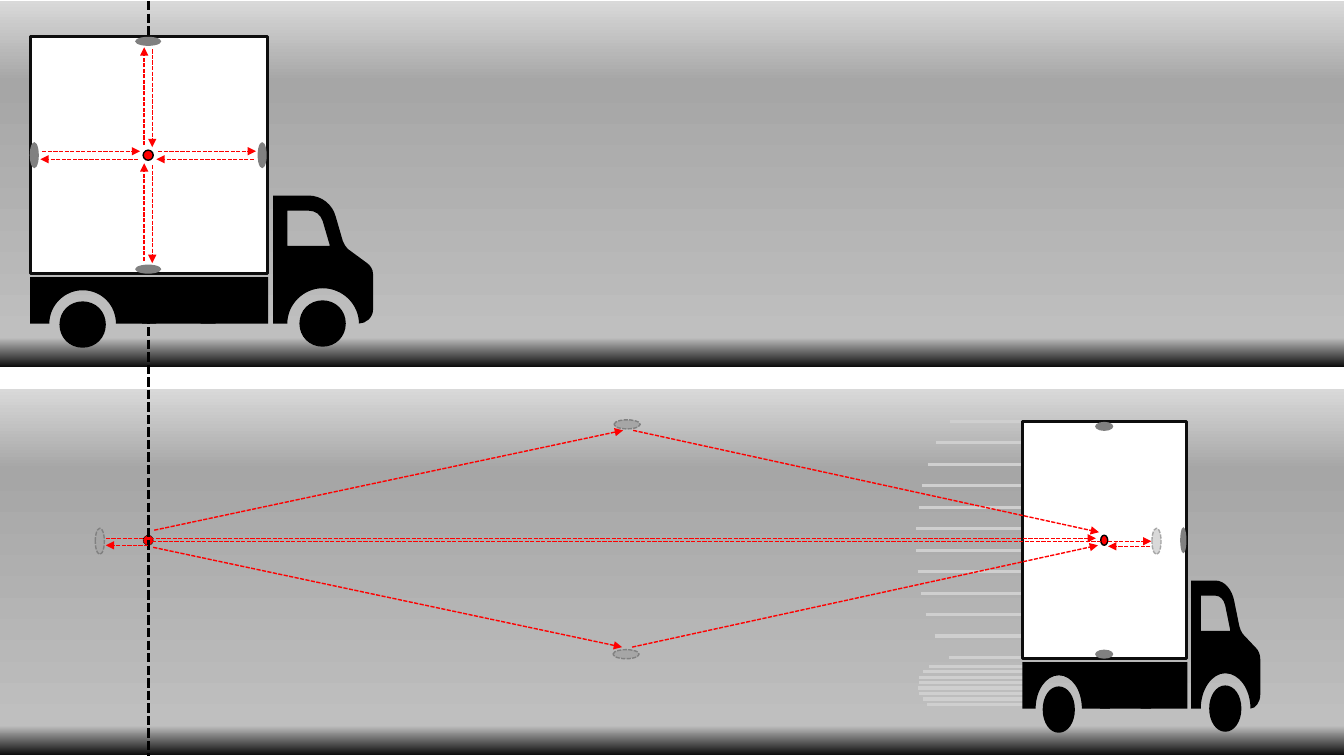
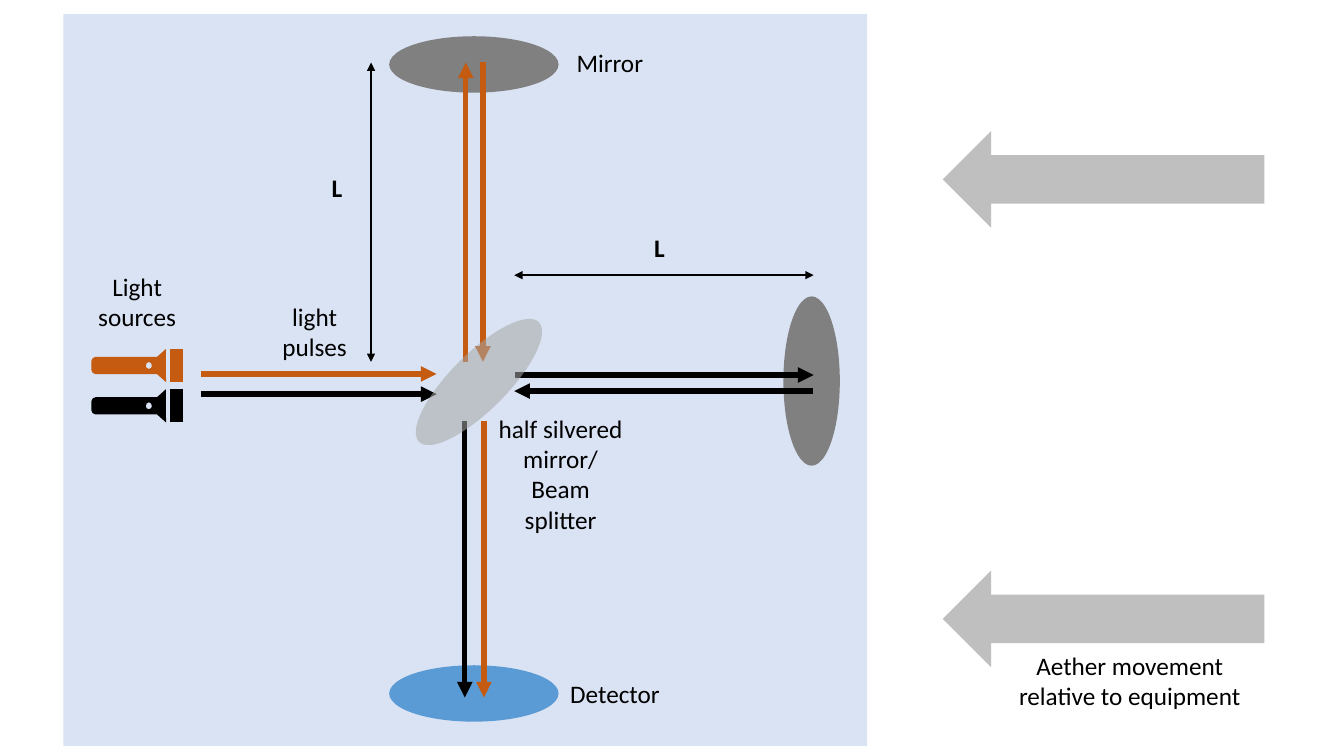
"""Build two slides on the light-path experiment: moving truck and beam splitter."""
from math import sqrt

from lxml import etree
from pptx import Presentation
from pptx.dml.color import RGBColor
from pptx.enum.dml import MSO_LINE
from pptx.enum.shapes import MSO_CONNECTOR, MSO_SHAPE
from pptx.enum.text import MSO_AUTO_SIZE, PP_ALIGN
from pptx.oxml.ns import qn
from pptx.util import Inches, Pt

BLACK = RGBColor(0x00, 0x00, 0x00)
WHITE = RGBColor(0xFF, 0xFF, 0xFF)
RED = RGBColor(0xFF, 0x00, 0x00)
ORANGE = RGBColor(0xC5, 0x5A, 0x11)
BLUE = RGBColor(0x5B, 0x9B, 0xD5)
PALE_BLUE = RGBColor(0xDA, 0xE3, 0xF3)
FRAME = RGBColor(0x0D, 0x0D, 0x0D)
MIRROR = RGBColor(0x80, 0x80, 0x80)
GHOST = RGBColor(0xA6, 0xA6, 0xA6)
PALE_GHOST = RGBColor(0xD9, 0xD9, 0xD9)
STREAK = RGBColor(0xCF, 0xCF, 0xCF)
AETHER = RGBColor(0xBF, 0xBF, 0xBF)
FONT = "Calibri"

ROAD_STOPS = [(0, PALE_GHOST), (22, GHOST), (92, AETHER), (100, FRAME)]
ROAD_TOPS = [0.01, 3.86]
TRUCK_LEFT, TRUCK_CENTRE = 0.3, (1.47, 1.54)
SECOND_TRUCK = dict(left=10.14, drop=3.82, squeeze=0.694)
UP, DOWN, LEFT, RIGHT = (0, -1), (0, 1), (-1, 0), (1, 0)
BOX = [(0.3, 0.36), (2.65, 0.36), (2.65, 2.71), (0.3, 2.71)]
BED_REAR = [(2.14, 3.21), (1.15, 3.21), (1.15, 3.03, 1.01, 2.88, 0.82, 2.88),
            (0.64, 2.88, 0.49, 3.03, 0.49, 3.21), (0.3, 3.21), (0.3, 2.75), (2.14, 2.75)]
BED_FRONT = [(2.66, 3.21), (1.99, 3.21), (1.99, 3.03, 1.89, 2.88, 1.77, 2.88),
             (1.65, 2.88, 1.55, 3.03, 1.55, 3.21), (1.41, 3.21), (1.41, 2.75), (2.66, 2.75)]
CAB_WINDOW = [(2.85, 2.09), (3.06, 2.09), (3.13, 2.09, 3.18, 2.13, 3.2, 2.19), (3.27, 2.43),
              (3.27, 2.43, 3.27, 2.43, 3.27, 2.44), (2.85, 2.44), (2.85, 2.09)]
CAB = [(3.06, 1.94), (2.71, 1.94), (2.71, 2.44), (2.71, 2.65), (2.71, 3.21), (2.85, 3.21),
       (2.85, 3.02, 3.01, 2.86, 3.2, 2.86), (3.4, 2.86, 3.56, 3.02, 3.56, 3.21),
       (3.63, 3.21, 3.7, 3.15, 3.7, 3.07), (3.7, 2.72),
       (3.7, 2.67, 3.67, 2.63, 3.64, 2.61), (3.45, 2.47),
       (3.43, 2.45, 3.41, 2.42, 3.4, 2.39), (3.33, 2.15),
       (3.3, 2.03, 3.19, 1.94, 3.06, 1.94)]
WHEEL_CENTRES = [(0.82, 3.22), (3.2, 3.21)]
WHEEL_RADIUS, WHEEL_PULL = 0.23, 0.13

STREAK_SETS = [
    (4.18, 0.213, 1.14, [9.42, 9.28, 9.2, 9.14, 9.11, 9.09, 9.09, 9.1, 9.13, 9.18, 9.27, 9.41]),
    (6.61, 0.054, 1.06, [9.21, 9.15, 9.12, 9.11, 9.1, 9.11, 9.15, 9.19]),
]
LIGHT_PATHS = [
    ((6.28, 4.27), (10.9, 5.28)), ((1.53, 5.26), (6.18, 4.27)),
    ((11.41, 5.42), (10.99, 5.42)), ((1.51, 5.37), (11.42, 5.37)),
    ((1.05, 5.34), (10.87, 5.34)), ((1.47, 5.41), (1.05, 5.41)),
    ((6.27, 6.42), (10.89, 5.41)), ((1.52, 5.43), (6.17, 6.42)),
]
GHOST_MIRRORS = [
    ((0.99, 5.37), (0.09, 0.26), GHOST, MIRROR), ((6.21, 6.49), (0.26, 0.09), GHOST, MIRROR),
    ((6.22, 4.21), (0.26, 0.09), GHOST, MIRROR), ((11.47, 5.37), (0.09, 0.26), PALE_GHOST, GHOST),
]

PLATES = [((4.7, 6.88), (1.68, 0.56), BLUE), ((4.7, 0.64), (1.68, 0.56), MIRROR),
          ((8.05, 3.78), (0.56, 1.68), MIRROR)]
BEAMS = [
    ((4.79, 0.62), (4.79, 3.59), ORANGE), ((4.62, 3.59), (4.62, 0.62), ORANGE),
    ((8.06, 3.88), (5.1, 3.88), BLACK), ((5.11, 3.72), (8.07, 3.72), BLACK),
    ((4.61, 4.18), (4.61, 6.92), BLACK), ((4.8, 4.18), (4.8, 6.92), ORANGE),
    ((1.99, 3.71), (4.33, 3.71), ORANGE), ((1.99, 3.91), (4.33, 3.91), BLACK),
]
AETHER_TOPS = [5.66, 1.3]
TORCH_LENS = [(1.69, 3.46), (1.81, 3.46), (1.81, 3.79), (1.69, 3.79)]
TORCH_BODY = [(1.56, 3.54), (0.95, 3.54), (0.93, 3.54, 0.91, 3.56, 0.91, 3.58), (0.91, 3.67),
              (0.91, 3.69, 0.93, 3.71, 0.95, 3.71), (1.56, 3.71), (1.65, 3.79), (1.65, 3.46)]
TORCH_SWITCH = [(1.48, 3.66), (1.46, 3.66, 1.45, 3.64, 1.45, 3.63),
                (1.45, 3.61, 1.46, 3.59, 1.48, 3.59), (1.5, 3.59, 1.51, 3.61, 1.51, 3.63),
                (1.51, 3.64, 1.5, 3.66, 1.48, 3.66)]
TORCH_PIVOT = (1.33, 3.63)
TORCHES = [(0, ORANGE), (0.4, BLACK)]
LABELS = [
    ("Aether movement relative to equipment", (9.89, 6.4, 2.63, 0.71), {}),
    ("Mirror", (5.62, 0.42, 0.96, 0.4), dict(align=PP_ALIGN.LEFT)),
    ("half silvered mirror/ Beam splitter", (4.79, 4.05, 1.54, 1.31), {}),
    ("Light sources", (0.8, 2.64, 1.12, 0.71), {}),
    ("Detector", (5.38, 6.68, 1.44, 0.4), {}),
    ("light pulses", (2.56, 2.94, 1.12, 0.71), {}),
    ("L", (3.19, 1.66, 0.54, 0.4), dict(align=PP_ALIGN.LEFT, bold=True)),
    ("L", (6.39, 2.26, 0.54, 0.4), dict(align=PP_ALIGN.LEFT, bold=True)),
]
ARM_LENGTHS = [((3.68, 0.62), (3.68, 3.59)), ((8.07, 2.73), (5.1, 2.73))]


def write(slide, text, box, size=18, bold=False, colour=BLACK, align=PP_ALIGN.CENTER):
    frame = slide.shapes.add_textbox(*map(Inches, box)).text_frame
    frame.word_wrap = True
    frame.auto_size = MSO_AUTO_SIZE.SHAPE_TO_FIT_TEXT
    paragraph = frame.paragraphs[0]
    paragraph.alignment = align
    run = paragraph.add_run()
    run.text = text
    run.font.name, run.font.size, run.font.bold = FONT, Pt(size), bold
    run.font.color.rgb = colour


def paint(shape, fill, line=None, width=1, dash=None):
    shape.shadow.inherit = False
    shape.fill.solid()
    shape.fill.fore_color.rgb = fill
    if line is None:
        shape.line.fill.background()
    else:
        shape.line.color.rgb = line
        shape.line.width = Pt(width)
        if dash:
            shape.line.dash_style = dash
    return shape


def add_preset(slide, preset, box, fill, **outline):
    return paint(slide.shapes.add_shape(preset, *map(Inches, box)), fill, **outline)


def add_ellipse(slide, centre, size, fill, **outline):
    (x, y), (width, height) = centre, size
    box = (x - width / 2, y - height / 2, width, height)
    return add_preset(slide, MSO_SHAPE.OVAL, box, fill, **outline)


def add_outline(slide, contours, fill, place, **outline):
    builder = None
    for contour in contours:
        points = [tuple(map(Inches, place(*part[i:i + 2])))
                  for part in contour for i in range(0, len(part), 2)]
        if builder is None:
            builder = slide.shapes.build_freeform(*points[0], scale=1.0)
        else:
            builder.move_to(*points[0])
        builder.add_line_segments(points[1:], close=True)
    shape = builder.convert_to_shape()
    segments = iter(list(shape._element.spPr.iter(qn("a:lnTo"))))
    for contour in contours:
        for part in contour[1:]:
            segment = next(segments)
            if len(part) == 6:
                segment.tag = qn("a:cubicBezTo")
                for _ in range(2):
                    control = next(segments)
                    segment.append(control[0])
                    control.getparent().remove(control)
    return paint(shape, fill, **outline)


def add_line(slide, start, end, colour, width, dash=None, heads=()):
    connector = slide.shapes.add_connector(MSO_CONNECTOR.STRAIGHT, *map(Inches, start + end))
    connector.line.color.rgb = colour
    connector.line.width = Pt(width)
    if dash:
        connector.line.dash_style = dash
    properties = connector._element.spPr
    for head in heads:
        etree.SubElement(properties.find(qn("a:ln")), qn(f"a:{head}"), type="triangle")
    etree.SubElement(properties, qn("a:effectLst"))


def add_light_path(slide, start, end):
    add_line(slide, start, end, RED, 1, dash=MSO_LINE.SQUARE_DOT, heads=["tailEnd"])


def add_road(slide, top):
    road = add_preset(slide, MSO_SHAPE.RECTANGLE, (0, top, 13.33, 3.63), AETHER)
    road.fill.gradient()
    road.fill.gradient_angle = 270
    stops = road._element.spPr.find(qn("a:gradFill")).find(qn("a:gsLst"))
    for stop in list(stops):
        stops.remove(stop)
    for position, colour in ROAD_STOPS:
        stop = etree.SubElement(stops, qn("a:gs"), pos=str(position * 1000))
        etree.SubElement(stop, qn("a:srgbClr"), val=str(colour))


def wheel_outline(x, y, r=WHEEL_RADIUS, k=WHEEL_PULL):
    return [(x + r, y), (x + r, y + k, x + k, y + r, x, y + r),
            (x - k, y + r, x - r, y + k, x - r, y), (x - r, y - k, x - k, y - r, x, y - r),
            (x + k, y - r, x + r, y - k, x + r, y)]


def add_truck(slide, sides, left=TRUCK_LEFT, drop=0, squeeze=1):
    def place(x, y):
        return left + (x - TRUCK_LEFT) * squeeze, y + drop

    for centre in WHEEL_CENTRES:
        add_outline(slide, [wheel_outline(*centre)], BLACK, place)
    add_outline(slide, [BOX], WHITE, place, line=FRAME, width=2.25)
    for contours in ([CAB_WINDOW, CAB], [BED_REAR], [BED_FRONT]):
        add_outline(slide, contours, BLACK, place)
    x, y = TRUCK_CENTRE
    for dx, dy in sides:
        size = (0.09 * squeeze, 0.26) if dx else (0.26 * squeeze, 0.09)
        add_ellipse(slide, place(x + 1.13 * dx, y + 1.13 * dy), size, MIRROR)
    add_ellipse(slide, place(x, y), (0.1 * squeeze, 0.1), RED, line=BLACK)


def add_torch(slide, drop, colour):
    pivot_x, pivot_y = TORCH_PIVOT

    def lower(x, y):
        return x, y + drop

    def turn_back(x, y):
        dx, dy = x - pivot_x, y - pivot_y
        return lower(pivot_x + (dx + dy) / sqrt(2), pivot_y + (dy - dx) / sqrt(2))

    add_outline(slide, [TORCH_LENS], colour, lower)
    add_outline(slide, [TORCH_BODY, TORCH_SWITCH], colour, turn_back).rotation = 45


def build_truck_slide(slide):
    for top in ROAD_TOPS:
        add_road(slide, top)
    add_ellipse(slide, (1.47, 5.36), (0.1, 0.1), RED,
                line=BLACK, width=0.5, dash=MSO_LINE.ROUND_DOT)
    add_line(slide, (1.47, 0.01), (1.47, 7.5), BLACK, 2.25, dash=MSO_LINE.SQUARE_DOT)

    add_truck(slide, [LEFT, RIGHT, DOWN, UP])
    x, y = TRUCK_CENTRE
    for dx, dy in (UP, RIGHT, DOWN, LEFT):
        for near, far, shift in ((0.1, 1.07, 0.04), (1.05, 0.08, -0.04)):
            start, end = ((x + dx * reach + dy * shift, y + dy * reach - dx * shift)
                          for reach in (near, far))
            add_light_path(slide, start, end)

    for top, gap, length, starts in STREAK_SETS:
        for row, start in enumerate(starts):
            level = top + row * gap
            add_line(slide, (start, level), (start + length, level), STREAK, 2.25)
    add_truck(slide, [RIGHT, DOWN, UP], **SECOND_TRUCK)
    for start, end in LIGHT_PATHS:
        add_light_path(slide, start, end)
    for centre, size, fill, line in GHOST_MIRRORS:
        add_ellipse(slide, centre, size, fill, line=line, dash=MSO_LINE.SQUARE_DOT)


def build_splitter_slide(slide):
    add_preset(slide, MSO_SHAPE.RECTANGLE, (0.63, 0.14, 7.97, 7.26), PALE_BLUE)
    for centre, size, fill in PLATES:
        add_ellipse(slide, centre, size, fill)
    for start, end, colour in BEAMS:
        add_line(slide, start, end, colour, 3.75, heads=["tailEnd"])
    for top in AETHER_TOPS:
        add_preset(slide, MSO_SHAPE.LEFT_ARROW, (9.35, top, 3.19, 0.96), AETHER)

    splitter = add_ellipse(slide, (4.75, 3.79), (0.56, 1.68), GHOST)
    splitter.rotation = 45
    tint = splitter._element.spPr.find(qn("a:solidFill"))[0]
    etree.SubElement(tint, qn("a:alpha"), val="55000")

    for drop, colour in TORCHES:
        add_torch(slide, drop, colour)
    for start, end in ARM_LENGTHS:
        add_line(slide, start, end, BLACK, 1.75, heads=["headEnd", "tailEnd"])
    for text, box, style in LABELS:
        write(slide, text, box, **style)


def main():
    deck = Presentation()
    deck.slide_width, deck.slide_height = Inches(13.33), Inches(7.5)
    for build in (build_truck_slide, build_splitter_slide):
        build(deck.slides.add_slide(deck.slide_layouts[6]))
    deck.save("out.pptx")


if __name__ == "__main__":
    main()
